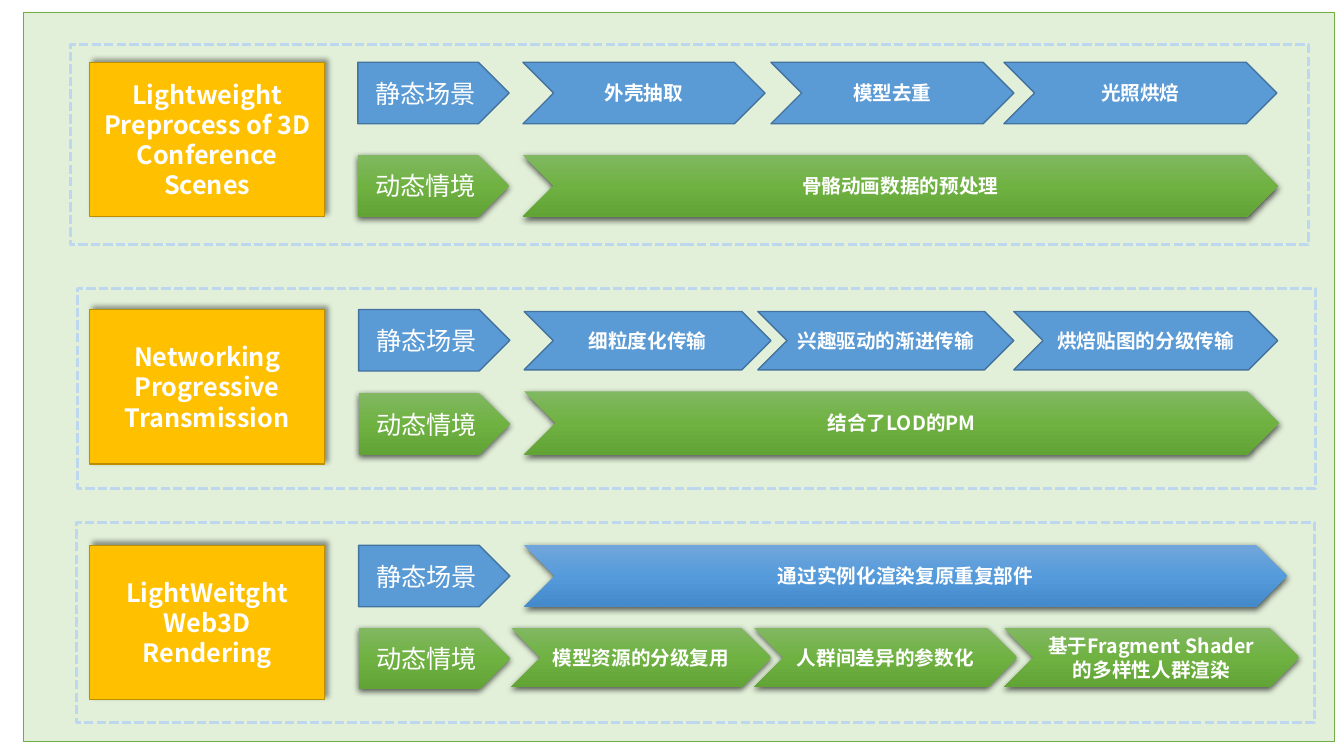
from dataclasses import dataclass

from lxml import etree
from pptx import Presentation
from pptx import util as u
from pptx.dml.color import RGBColor
from pptx.enum import dml, shapes, text
from pptx.oxml import ns


@dataclass(frozen=True)
class Theme:
    latin: str = "Calibri"
    cjk: str = "Noto Sans CJK SC"
    white: str = "FFFFFF"
    backdrop: str = "E2F0D9"
    backdrop_edge: str = "70AD47"
    blue: str = "5B9BD5"
    blue_edge: str = "43739E"
    gold: str = "FFC000"
    gold_edge: str = "BD8E00"
    frame: str = "BDD7EE"
    shade: str = "000000"
    green_fade: tuple = ("81B861", "6FB242", "62A336")
    blue_fade: tuple = ("71A6DB", "559BDB", "448ACA")
    large: int = 18
    small: int = 14


theme = Theme()
# Shadows: opacity in percent, blur and distance in points, direction in degrees
soft_shadow = (63, 4.5, 1.5, 90)
corner_shadow = (40, 4, 3, 315)

deck = Presentation()
deck.slide_width, deck.slide_height = u.Cm(33.87), u.Cm(19.05)
page = deck.slides.add_slide(deck.slide_layouts[6])


def add_block(kind, left, top, width, height, fill=None, edge=None, weight=1, shadow=None):
    """Draw a shape; a tuple of colours as fill gives a vertical fade."""
    box = page.shapes.add_shape(kind, u.Cm(left), u.Cm(top), u.Cm(width), u.Cm(height))
    if isinstance(fill, tuple):
        box.fill.gradient()
        fade = box.fill._fill._gradFill
        for child in list(fade):
            fade.remove(child)
        stops = etree.SubElement(fade, ns.qn("a:gsLst"))
        for index, colour in enumerate(fill):
            stop = etree.SubElement(stops, ns.qn("a:gs"), pos=str(index * 50000))
            etree.SubElement(stop, ns.qn("a:srgbClr"), val=colour)
        etree.SubElement(fade, ns.qn("a:lin"), ang="5400000", scaled="0")
    elif fill:
        box.fill.solid()
        box.fill.fore_color.rgb = RGBColor.from_string(fill)
    else:
        box.fill.background()
    if edge:
        box.line.color.rgb = RGBColor.from_string(edge)
        box.line.width = u.Pt(weight)
    else:
        box.line.fill.background()
    box.shadow.inherit = False
    if shadow:
        opacity, blur, distance, angle = shadow
        effects = box._element.spPr.find(ns.qn("a:effectLst"))
        outer = etree.SubElement(
            effects, ns.qn("a:outerShdw"), blurRad=str(u.Pt(blur)),
            dist=str(u.Pt(distance)), dir=str(angle * 60000), rotWithShape="0")
        colour = etree.SubElement(outer, ns.qn("a:srgbClr"), val=theme.shade)
        etree.SubElement(colour, ns.qn("a:alpha"), val=str(opacity * 1000))
    return box


def write(box, wording, size=theme.small, bold=True, font=theme.cjk):
    """Set centred white text in a shape."""
    frame = box.text_frame
    frame.word_wrap = True
    frame.vertical_anchor = text.MSO_ANCHOR.MIDDLE
    para = frame.paragraphs[0]
    para.alignment = text.PP_ALIGN.CENTER
    span = para.add_run()
    span.text = wording
    span.font.size, span.font.bold, span.font.name = u.Pt(size), bold, font
    span.font.color.rgb = RGBColor.from_string(theme.white)
    etree.SubElement(span._r.get_or_add_rPr(), ns.qn("a:ea"), typeface=theme.cjk)


shape = shapes.MSO_SHAPE
flat_blue = dict(fill=theme.blue, edge=theme.blue_edge)
shaded_blue = dict(fill=theme.blue_fade, shadow=soft_shadow)
shaded_green = dict(fill=theme.green_fade, shadow=soft_shadow)

# Each stage: title, its top, frame corner, left of the labels, and two lanes.
# Each lane: label, label top, step top, step height, look, steps (text, left, width).
stages = [
    ("Lightweight Preprocess of 3D Conference Scenes", 1.57, (1.78, 1.12), 9.02, [
        ("静态场景", 1.57, 1.57, 1.55, flat_blue, [
            ("外壳抽取", 13.18, 6.1), ("模型去重", 19.43, 6.12), ("光照烘焙", 25.3, 6.88)]),
        ("动态情境", 3.91, 3.91, 1.55, shaded_green, [
            ("骨骼动画数据的预处理", 13.18, 19.02)]),
    ]),
    ("Networking Progressive Transmission", 7.8, (1.96, 7.26), 9.04, [
        ("静态场景", 7.8, 7.85, 1.47, flat_blue, [
            ("细粒度化传输", 13.21, 6.22), ("兴趣驱动的渐进传输", 19.1, 6.45),
            ("烘焙贴图的分级传输", 25.55, 6.65)]),
        ("动态情境", 9.91, 9.86, 1.6, shaded_green, [
            ("结合了LOD的PM", 13.21, 19.02)]),
    ]),
    ("LightWeitght Web3D Rendering", 13.74, (1.93, 13.16), 9.04, [
        ("静态场景", 13.74, 13.74, 1.55, shaded_blue, [
            ("通过实例化渲染复原重复部件", 13.21, 19.23)]),
        ("动态情境", 15.82, 15.82, 1.5, shaded_green, [
            ("模型资源的分级复用", 12.88, 6.55), ("人群间差异的参数化", 19, 6.63),
            ("基于Fragment Shader的多样性人群渲染", 25.3, 7.44)]),
    ]),
]

# Backdrop
add_block(shape.RECTANGLE, 0.58, 0.3, 33.05, 18.39,
          fill=theme.backdrop, edge=theme.backdrop_edge, weight=0.5)

for title, title_top, frame_corner, label_left, lanes in stages:
    # Steps and lane labels
    for label, label_top, step_top, step_height, look, steps in lanes:
        for wording, left, width in steps:
            step = add_block(shape.CHEVRON, left, step_top, width, step_height, **look)
            write(step, wording)
        label_look = flat_blue if look is shaded_blue else look
        plate = add_block(shape.PENTAGON, label_left, label_top, 3.81, 1.55, **label_look)
        write(plate, label, size=theme.large, bold=False, font=theme.latin)

    # Stage title
    card = add_block(shape.RECTANGLE, 2.26, title_top, 5.92, 3.89,
                     fill=theme.gold, edge=theme.gold_edge, shadow=corner_shadow)
    write(card, title, size=theme.large)

    # Dashed frame around the stage
    outline = add_block(shape.RECTANGLE, *frame_corner, 31.19, 5.05,
                        edge=theme.frame, weight=2.25)
    outline.line.dash_style = dml.MSO_LINE.SQUARE_DOT

deck.save("out.pptx")
